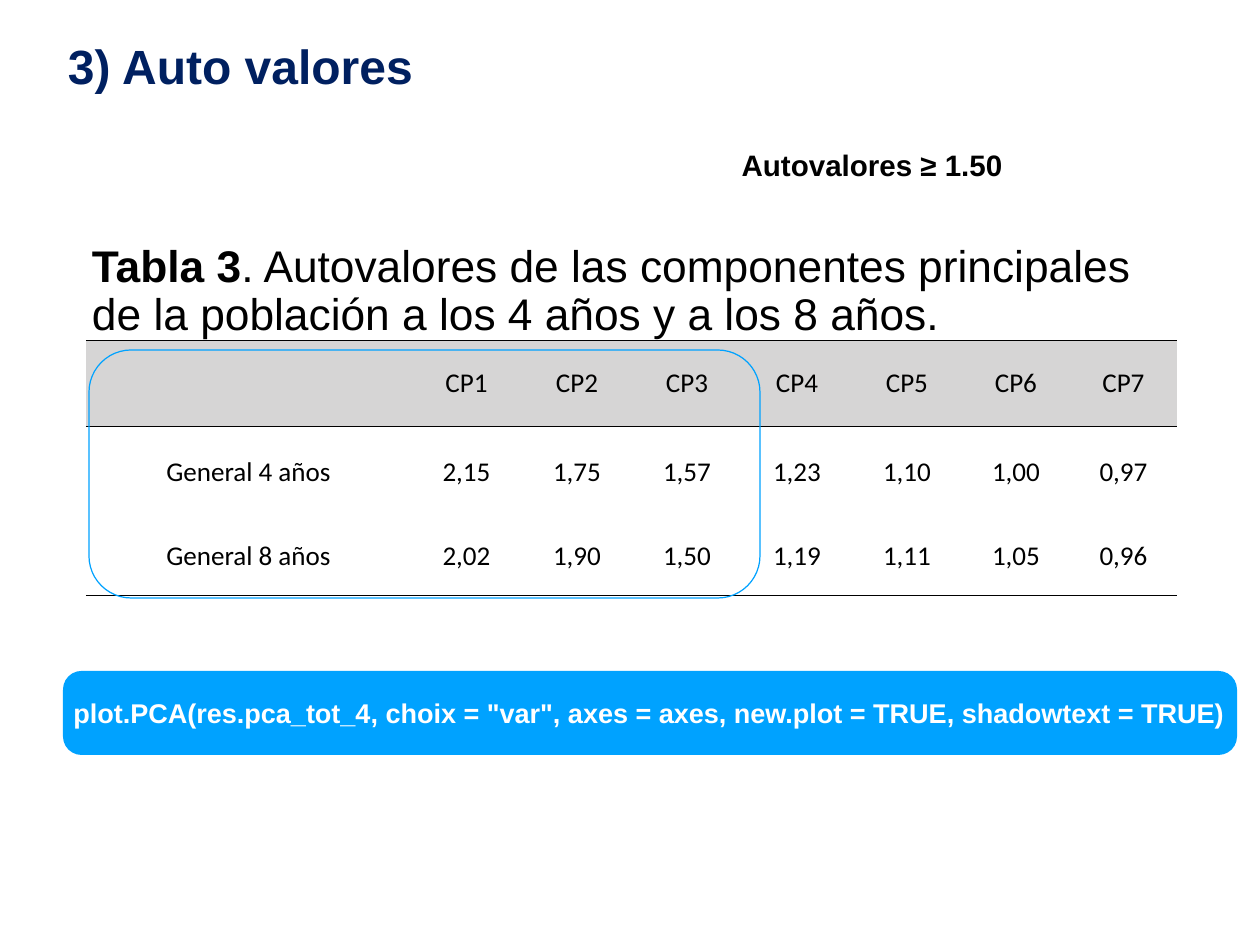
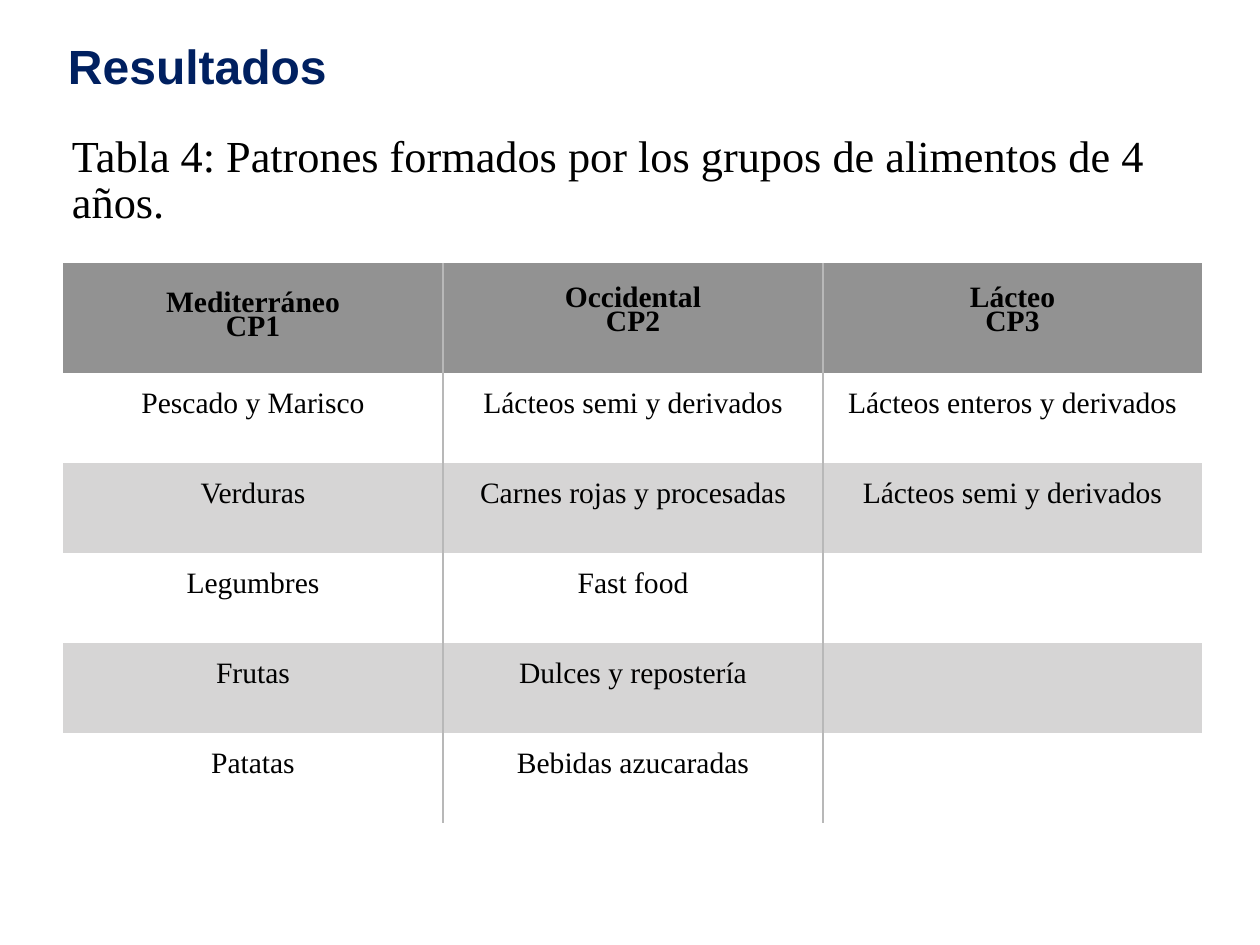
from lxml import etree
from pptx import Presentation
from pptx import util as u
from pptx.dml.color import RGBColor
from pptx.enum import shapes, text
from pptx.oxml import ns

PX = 10320
SLIDE_WIDTH, SLIDE_HEIGHT = 1260, 945

NAVY = RGBColor(0x00, 0x20, 0x60)
BLUE = RGBColor(0x00, 0xA2, 0xFF)
BLACK = RGBColor(0x00, 0x00, 0x00)
WHITE = RGBColor(0xFF, 0xFF, 0xFF)
LIGHT = RGBColor(0xD6, 0xD5, 0xD5)
GRAY = RGBColor(0x92, 0x92, 0x92)
RULE = RGBColor(0xB8, 0xB8, 0xB8)

LEFT, CENTER = text.PP_ALIGN.LEFT, text.PP_ALIGN.CENTER
TOP, MIDDLE, BOTTOM = text.MSO_ANCHOR.TOP, text.MSO_ANCHOR.MIDDLE, text.MSO_ANCHOR.BOTTOM
NO_GRID_STYLE = "{2D5ABB26-0587-4C30-8999-92F81FD0307C}"

TITLE_BOX = (63, 29, 1153, 73)
EVEN_INSETS = (5, 5, 5, 5)
PATTERN_INSETS = (9, 1, 9, 0)
CAPTION_INSETS = (6, 0, 6, 0)

TITLE_FONT = dict(name="Arial", size=u.Pt(39), bold=True)
CODE_FONT = dict(name="Arial", size=u.Pt(22), bold=True)
CRITERION_FONT = dict(name="Arial", size=u.Pt(24), bold=True)
CAPTION_FONT = dict(name="Arial", size=u.Pt(36), bold=False)
VALUE_FONT = dict(name="Calibri", size=u.Pt(22), bold=False)
PATTERN_FONT = dict(name="Times New Roman", size=u.Pt(24), bold=False)

EIGENVALUES = [
    ["", "CP1", "CP2", "CP3", "CP4", "CP5", "CP6", "CP7"],
    ["General 4 años", "2,15", "1,75", "1,57", "1,23", "1,10", "1,00", "0,97"],
    ["General 8 años", "2,02", "1,90", "1,50", "1,19", "1,11", "1,05", "0,96"],
]
PATTERNS = [
    ["Mediterráneo\vCP1", "Occidental\vCP2", "Lácteo\vCP3"],
    ["Pescado y Marisco", "Lácteos semi y derivados", "Lácteos enteros y derivados"],
    ["Verduras", "Carnes rojas y procesadas", "Lácteos semi y derivados"],
    ["Legumbres", "Fast food", ""],
    ["Frutas", "Dulces y repostería", ""],
    ["Patatas", "Bebidas azucaradas", ""],
]


def px(*lengths):
    return [u.Emu(length * PX) for length in lengths]


def style_run(run, font, color=BLACK):
    for attribute, value in font.items():
        setattr(run.font, attribute, value)
    run.font.color.rgb = color


def set_insets(target, insets):
    for side, inset in zip(("left", "top", "right", "bottom"), px(*insets)):
        setattr(target, f"margin_{side}", inset)


def write(frame, wording, font, color=BLACK, align=LEFT, spacing=None):
    line = frame.paragraphs[0]
    line.text = wording
    line.alignment = align
    line.line_spacing = spacing
    for run in line.runs:
        style_run(run, font, color)
    return line


def add_label(slide, box, wording, font, color=BLACK, align=LEFT):
    frame = slide.shapes.add_textbox(*px(*box)).text_frame
    frame.word_wrap = True
    frame.vertical_anchor = MIDDLE
    set_insets(frame, EVEN_INSETS)
    write(frame, wording, font, color, align)


def add_rounded(slide, box, corner):
    rounded = slide.shapes.add_shape(shapes.MSO_SHAPE.ROUNDED_RECTANGLE, *px(*box))
    rounded.shadow.inherit = False
    rounded.adjustments[0] = corner
    return rounded


def add_code_band(slide, box, code):
    band = add_rounded(slide, box, 0.22)
    band.fill.solid()
    band.fill.fore_color.rgb = BLUE
    band.line.fill.background()
    frame = band.text_frame
    frame.word_wrap = False
    frame.vertical_anchor = MIDDLE
    set_insets(frame, EVEN_INSETS)
    write(frame, code, CODE_FONT, WHITE)


def add_highlight(slide, box):
    outline = add_rounded(slide, box, 0.17)
    outline.fill.background()
    outline.line.color.rgb = BLUE
    outline.line.width = u.Pt(1)


def paint_cell(cell, fill, borders=(), color=BLACK):
    properties = cell._tc.get_or_add_tcPr()
    for side in borders:
        edge = etree.SubElement(properties, ns.qn(f"a:ln{side}"), w=str(u.Pt(1)))
        paint = etree.SubElement(edge, ns.qn("a:solidFill"))
        etree.SubElement(paint, ns.qn("a:srgbClr"), val=str(color))
    cell.fill.solid()
    cell.fill.fore_color.rgb = fill


def add_captioned_table(slide, left, top, widths, heights):
    box = px(left, top, sum(widths), sum(heights))
    table = slide.shapes.add_table(len(heights), len(widths), *box).table
    table.first_row = table.horz_banding = False
    table._tbl.tblPr.find(ns.qn("a:tableStyleId")).text = NO_GRID_STYLE
    for column, width in zip(table.columns, px(*widths)):
        column.width = width
    for row, height in zip(table.rows, px(*heights)):
        row.height = height
    caption = table.cell(0, 0)
    caption.merge(table.cell(0, len(widths) - 1))
    for cell in table.rows[0].cells:
        paint_cell(cell, WHITE)
    return table, caption


def add_eigenvalue_table(slide, left, top):
    widths = [325, 111, 110, 110, 110, 110, 108, 107]
    table, caption = add_captioned_table(slide, left, top, widths, [98, 86, 92, 77])
    set_insets(caption, CAPTION_INSETS)
    caption.vertical_anchor = BOTTOM
    line = write(caption.text_frame, "Tabla 3", {**CAPTION_FONT, "bold": True}, spacing=0.97)
    rest = line.add_run()
    rest.text = ". Autovalores de las componentes principales de la población a los 4 años y a los 8 años."
    style_run(rest, CAPTION_FONT)
    row_looks = [(LIGHT, "T"), (WHITE, ""), (WHITE, "B")]
    for r, (values, (fill, borders)) in enumerate(zip(EIGENVALUES, row_looks), 1):
        for c, value in enumerate(values):
            cell = table.cell(r, c)
            paint_cell(cell, fill, borders)
            set_insets(cell, EVEN_INSETS)
            cell.vertical_anchor = MIDDLE
            write(cell.text_frame, value, VALUE_FONT, align=CENTER)


def add_pattern_table(slide, left, top):
    widths = [380, 380, 379]
    table, caption = add_captioned_table(slide, left, top, widths, [127, 110] + [90] * 5)
    set_insets(caption, PATTERN_INSETS)
    write(caption.text_frame, "Tabla 4: Patrones formados por los grupos de alimentos de 4 años.",
          {**PATTERN_FONT, "size": u.Pt(36)}, spacing=u.Pt(37))
    column_borders = ["R", "LR", "L"]
    for r, foods in enumerate(PATTERNS, 1):
        header = r == 1
        fill = GRAY if header else (LIGHT if r % 2 else WHITE)
        for c, food in enumerate(foods):
            cell = table.cell(r, c)
            paint_cell(cell, fill, column_borders[c], RULE)
            set_insets(cell, (9, 26, 9, 0) if header and c else PATTERN_INSETS)
            cell.vertical_anchor = MIDDLE if header and not c else TOP
            write(cell.text_frame, food, {**PATTERN_FONT, "bold": header},
                  align=CENTER, spacing=u.Pt(20 if header else 37))


def add_titled_slide(deck, title):
    slide = deck.slides.add_slide(deck.slide_layouts[6])
    add_label(slide, TITLE_BOX, title, TITLE_FONT, NAVY)
    return slide


def build_eigenvalues(deck):
    slide = add_titled_slide(deck, "3) Auto valores")
    add_code_band(slide, (63, 671, 1174, 84),
                  'plot.PCA(res.pca_tot_4, choix = "var", axes = axes, new.plot = TRUE, shadowtext = TRUE)')
    add_eigenvalue_table(slide, 86, 237)
    add_highlight(slide, (89, 350, 671, 248))
    add_label(slide, (669, 142, 406, 46), "Autovalores ≥ 1.50", CRITERION_FONT, align=CENTER)


def build_results(deck):
    slide = add_titled_slide(deck, "Resultados")
    add_pattern_table(slide, 63, 136)


def main():
    deck = Presentation()
    deck.slide_width, deck.slide_height = px(SLIDE_WIDTH, SLIDE_HEIGHT)
    build_eigenvalues(deck)
    build_results(deck)
    deck.save("out.pptx")


if __name__ == "__main__":
    main()
